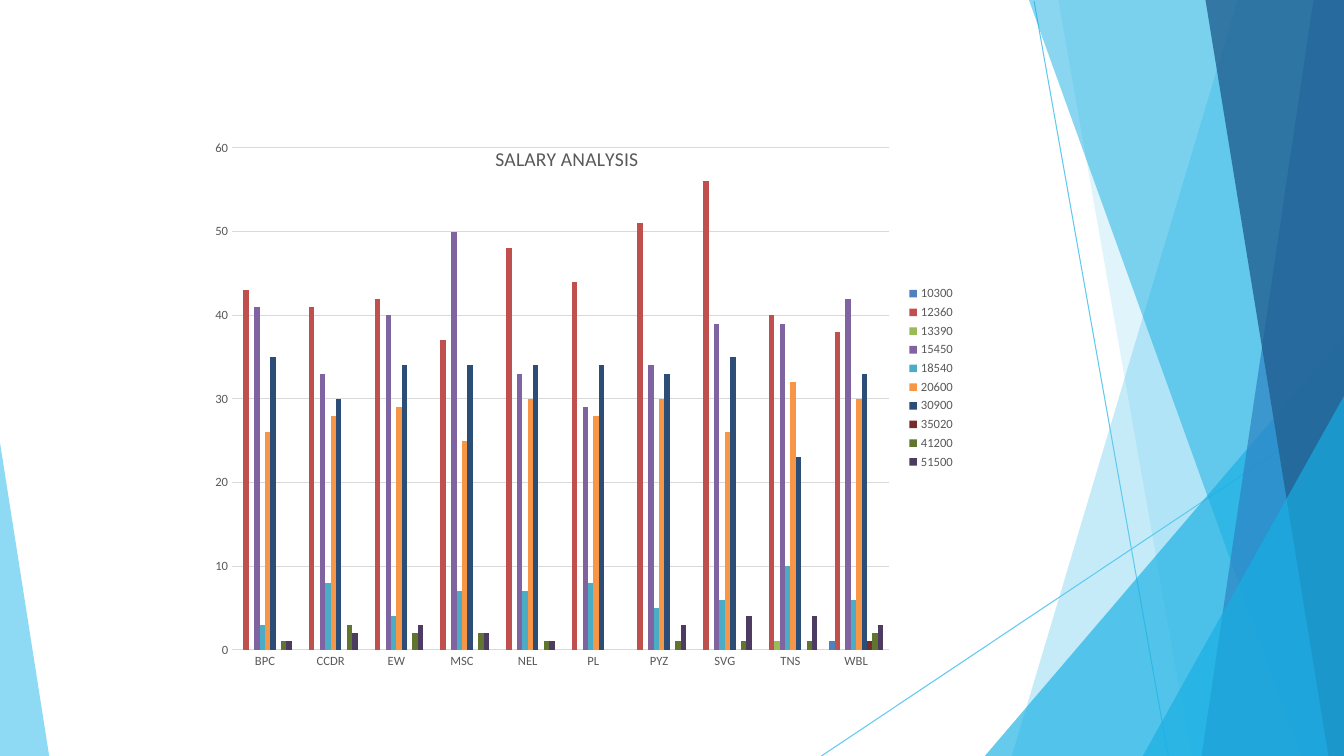
from dataclasses import dataclass

from lxml.etree import SubElement
from pptx import Presentation
from pptx.chart.data import CategoryChartData
from pptx.dml.color import RGBColor
from pptx.enum.chart import XL_CHART_TYPE, XL_LEGEND_POSITION, XL_TICK_MARK
from pptx.enum.shapes import MSO_CONNECTOR
from pptx.oxml import parse_xml
from pptx.oxml.ns import nsdecls, qn
from pptx.util import Cm, Pt

WIDE, HIGH = 33.87, 19.05
FONT = "Calibri"
COLORS = {
    "sky": "5FCAEE", "cyan": "17AFE3", "blue": "2D83C3", "navy": "226192",
    "text": "595959", "grid": "D9D9D9",
}
Point = tuple[float, float]


@dataclass
class Panel:
    color: str
    alpha: int
    points: list[Point]


@dataclass
class Grade:
    pay: str
    color: str
    counts: list[int | None]


def band(color: str, alpha: int, top: float, foot: float) -> Panel:
    """Full-height panel from a slanted left side to the right slide edge."""
    return Panel(color, alpha, [(WIDE, 0), (top, 0), (foot, HIGH), (WIDE, HIGH)])


def wedge(color: str, alpha: int, peak: float, foot: float) -> Panel:
    """Triangle in the bottom right corner."""
    return Panel(color, alpha, [(WIDE, peak), (foot, HIGH), (WIDE, HIGH)])


LINES = [((26.06, 0.03), (29.44, HIGH)), ((WIDE, 10.26), (20.7, HIGH))]
PANELS = [
    band("sky", 36, 31.19, 25.5),
    band("sky", 20, 26.67, 30.02),
    wedge("cyan", 66, 8.46, 24.82),
    band("cyan", 50, 25.93, 32.79),
    band("blue", 70, 33.1, 30.28),
    band("navy", 80, 30.38, 33.48),
    wedge("cyan", 66, 9.98, 28.8),
    Panel("sky", 70, [(0, 11.15), (0, HIGH), (1.24, HIGH)]),
]

UNITS = ["BPC", "CCDR", "EW", "MSC", "NEL", "PL", "PYZ", "SVG", "TNS", "WBL"]
GRADES = [
    Grade("10300", "4F81BD", [None] * 9 + [1]),
    Grade("12360", "C0504D", [43, 41, 42, 37, 48, 44, 51, 56, 40, 38]),
    Grade("13390", "9BBB59", [None] * 8 + [1, None]),
    Grade("15450", "8064A2", [41, 33, 40, 50, 33, 29, 34, 39, 39, 42]),
    Grade("18540", "4BACC6", [3, 8, 4, 7, 7, 8, 5, 6, 10, 6]),
    Grade("20600", "F79646", [26, 28, 29, 25, 30, 28, 30, 26, 32, 30]),
    Grade("30900", "2C4D75", [35, 30, 34, 34, 34, 34, 33, 35, 23, 33]),
    Grade("35020", "772C2A", [None] * 9 + [1]),
    Grade("41200", "5F7530", [1, 3, 2, 2, 1, None, 1, 1, 1, 2]),
    Grade("51500", "4D3B62", [1, 2, 3, 2, 1, None, 3, 4, 4, 3]),
]


def rgb(name: str) -> RGBColor:
    return RGBColor.from_string(COLORS[name])


def add_line(slide, start: Point, end: Point) -> None:
    ends = [Cm(n) for n in start + end]
    line = slide.shapes.add_connector(MSO_CONNECTOR.STRAIGHT, *ends)
    line.line.color.rgb = rgb("sky")
    line.line.width = Pt(0.75)
    SubElement(line.element.spPr, qn("a:effectLst"))


def add_panel(slide, panel: Panel) -> None:
    first, *rest = [(Cm(x), Cm(y)) for x, y in panel.points]
    pen = slide.shapes.build_freeform(*first)
    pen.add_line_segments(rest, close=True)
    shape = pen.convert_to_shape()
    shape.shadow.inherit = False
    shape.line.fill.background()
    shape.fill.solid()
    shape.fill.fore_color.rgb = rgb(panel.color)
    tint = shape.element.spPr.find(f".//{qn('a:srgbClr')}")
    SubElement(tint, qn("a:alpha"), val=str(panel.alpha * 1000))


def style(font, size: float) -> None:
    font.name, font.size, font.bold = FONT, Pt(size), False
    font.color.rgb = rgb("text")


def set_place(parent, index: int, inner: bool, **parts: float) -> None:
    """Fix a chart part by fractions of the chart's size."""
    for old in parent.findall(qn("c:layout")):
        parent.remove(old)
    target = '<c:layoutTarget val="inner"/>' if inner else ""
    modes = "".join(f'<c:{key}Mode val="edge"/>' for key in "xy")
    sizes = "".join(f'<c:{key} val="{val}"/>' for key, val in parts.items())
    parent.insert(index, parse_xml(
        f"<c:layout {nsdecls('c')}><c:manualLayout>{target}{modes}{sizes}"
        "</c:manualLayout></c:layout>"))


def add_title(chart) -> None:
    chart.has_title = True
    title = chart.chart_title
    title.text_frame.text = "SALARY ANALYSIS"
    style(title.text_frame.paragraphs[0].runs[0].font, 14)
    set_place(title.element, 1, False, x=0.38, y=0.11)
    title.element.find(qn("c:overlay")).set("val", "1")


def style_axes(chart) -> None:
    for axis in (chart.category_axis, chart.value_axis):
        axis.major_tick_mark = axis.minor_tick_mark = XL_TICK_MARK.NONE
        style(axis.tick_labels.font, 9)
    values = chart.value_axis
    values.minimum_scale, values.maximum_scale, values.major_unit = 0, 60, 10
    values.format.line.fill.background()
    values.has_major_gridlines = True
    for part in (chart.category_axis, values.major_gridlines):
        part.format.line.color.rgb = rgb("grid")
        part.format.line.width = Pt(0.75)


def add_bars(slide) -> None:
    data = CategoryChartData()
    data.categories = UNITS
    for grade in GRADES:
        data.add_series(grade.pay, grade.counts)
    chart = slide.shapes.add_chart(
        XL_CHART_TYPE.COLUMN_CLUSTERED,
        Cm(5.08), Cm(1.9), Cm(19.25), Cm(15.24), data).chart
    style(chart.font, 10)
    plot = chart.plots[0]
    plot.gap_width, plot.overlap, plot.vary_by_categories = 219, 0, False
    for bars, grade in zip(plot.series, GRADES):
        bars.invert_if_negative = False
        bars.format.fill.solid()
        bars.format.fill.fore_color.rgb = RGBColor.from_string(grade.color)
    add_title(chart)
    style_axes(chart)
    chart.has_legend = True
    chart.legend.position = XL_LEGEND_POSITION.RIGHT
    chart.legend.include_in_layout = False
    style(chart.legend.font, 9)
    area = chart.element.find(f".//{qn('c:plotArea')}")
    set_place(area, 0, True, x=0.04, y=0.12, w=0.86, h=0.83)


def main() -> None:
    deck = Presentation()
    deck.slide_width, deck.slide_height = Cm(WIDE), Cm(HIGH)
    slide = deck.slides.add_slide(deck.slide_layouts[6])
    for start, end in LINES:
        add_line(slide, start, end)
    for panel in PANELS:
        add_panel(slide, panel)
    add_bars(slide)
    deck.save("out.pptx")


if __name__ == "__main__":
    main()
